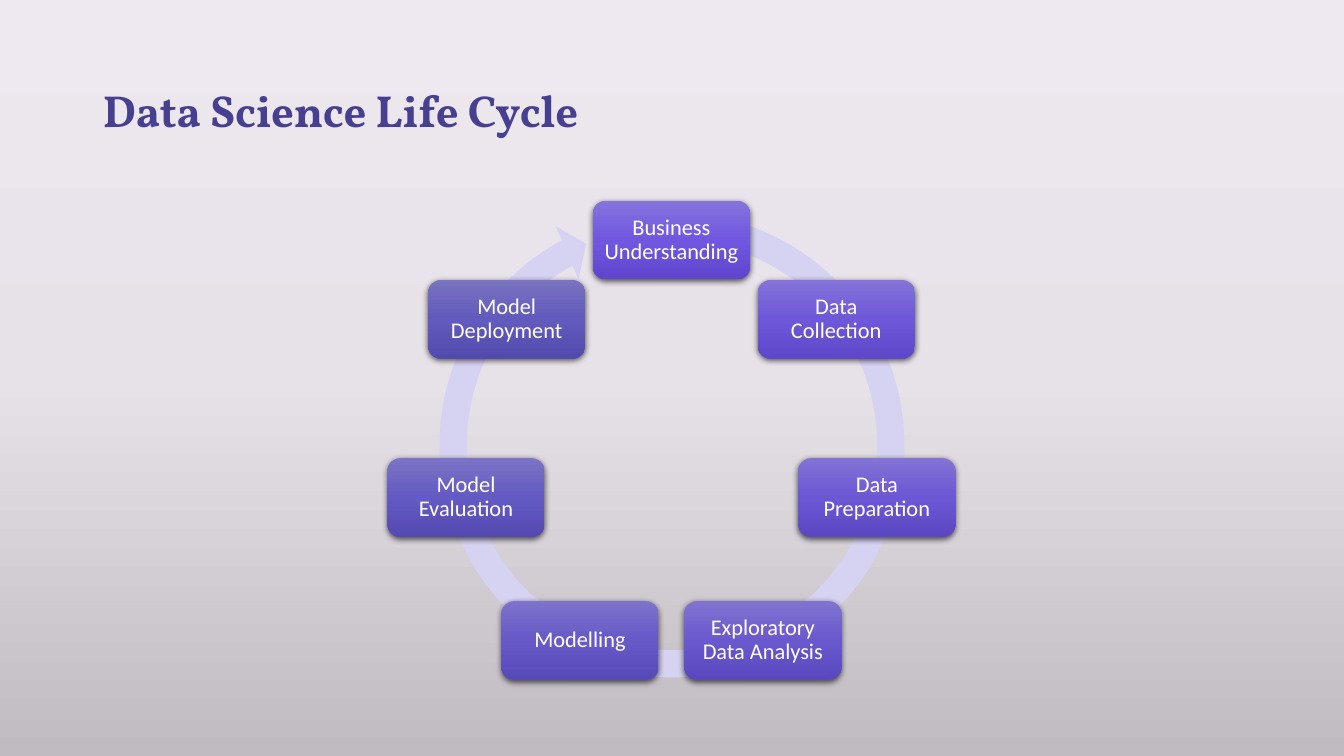
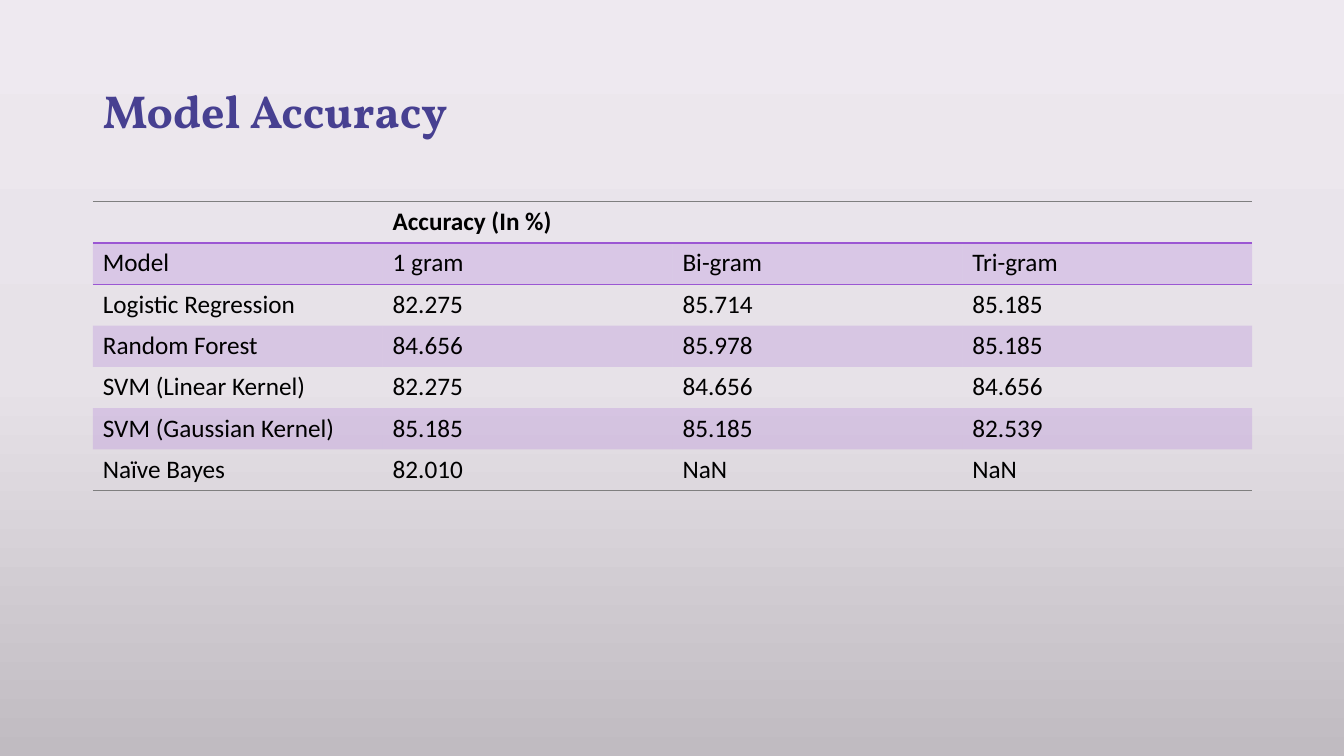
from copy import deepcopy
from math import cos, radians, sin

from lxml.etree import SubElement
from pptx import Presentation
from pptx.dml.color import RGBColor
from pptx.enum.shapes import MSO_SHAPE as SHAPE
from pptx.enum.text import MSO_ANCHOR as ANCHOR, MSO_AUTO_SIZE as AUTO, PP_ALIGN as ALIGN
from pptx.oxml.ns import qn
from pptx.util import Inches, Pt

BACKGROUND = [RGBColor(0xEE, 0xE9, 0xF0), RGBColor(0xE7, 0xE2, 0xE8), RGBColor(0xC0, 0xBB, 0xC1)]
INDIGO = RGBColor(0x47, 0x40, 0x91)
LAVENDER = RGBColor(0xD6, 0xD2, 0xF1)
PURPLE = RGBColor(0x9B, 0x57, 0xD3)
GREY = RGBColor(0x7F, 0x7F, 0x7F)
BLACK = RGBColor(0, 0, 0)
WHITE = RGBColor(0xFF, 0xFF, 0xFF)
FIRST_STEP = [RGBColor(0x86, 0x73, 0xDE), RGBColor(0x71, 0x57, 0xDF), RGBColor(0x60, 0x46, 0xCE)]
LAST_STEP = [RGBColor(0x79, 0x73, 0xC0), RGBColor(0x62, 0x5A, 0xBD), RGBColor(0x53, 0x4A, 0xAD)]
NO_TABLE_STYLE = "{2D5ABB26-0587-4C30-8999-92F81FD0307C}"

STEPS = ["Business Understanding", "Data Collection", "Data Preparation",
         "Exploratory Data Analysis", "Modelling", "Model Evaluation", "Model Deployment"]
ACCURACY = [
    ["", "Accuracy (In %)", "", ""],
    ["Model", "1 gram", "Bi-gram", "Tri-gram"],
    ["Logistic Regression", "82.275", "85.714", "85.185"],
    ["Random Forest", "84.656", "85.978", "85.185"],
    ["SVM (Linear Kernel)", "82.275", "84.656", "84.656"],
    ["SVM (Gaussian Kernel)", "85.185", "85.185", "82.539"],
    ["Naïve Bayes", "82.010", "NaN", "NaN"],
]


def blend(start, end, share):
    return RGBColor(*(round(a + (b - a) * share) for a, b in zip(start, end)))


def fill_gradient(fill, element, colors):
    """Fill downwards with three evenly spaced colours; element holds the fill."""
    fill.gradient()
    fill.gradient_angle = 270
    stop_list = next(element.iter(qn("a:gsLst")))
    stop_list.append(deepcopy(stop_list[0]))
    for stop, color, position in zip(fill.gradient_stops, colors, (0, 0.5, 1)):
        stop.color.rgb = color
        stop.position = position


def add_color(parent, color, alpha=None):
    clr = SubElement(parent, qn("a:srgbClr"), val=str(color))
    if alpha is not None:
        SubElement(clr, qn("a:alpha"), val=str(alpha * 1000))


def style_font(p, name, size, color, bold=False):
    p.font.name, p.font.size, p.font.bold = name, Pt(size), bold
    p.font.color.rgb = color


class Deck:
    """Holds the shared style and the current slide."""

    def __init__(self):
        self.prs = Presentation()
        self.prs.slide_width, self.prs.slide_height = Inches(13.33), Inches(7.5)
        master = self.prs.slide_master
        fill_gradient(master.background.fill, master._element, BACKGROUND)

    def add_slide(self, title, size):
        self.slide = self.prs.slides.add_slide(self.prs.slide_layouts[5])
        sp = self.slide.shapes.title
        sp.left, sp.top, sp.width, sp.height = map(Inches, (0.92, 0.4, 11.5, 1.45))
        tf = sp.text_frame
        tf.text = title
        tf.auto_size, tf.vertical_anchor = AUTO.NONE, ANCHOR.MIDDLE
        p = tf.paragraphs[0]
        p.alignment, p.line_spacing = ALIGN.LEFT, 0.9
        style_font(p, "Vollkorn", size, INDIGO, True)

    def add_shape(self, kind, left, top, width, height):
        sp = self.slide.shapes.add_shape(kind, *map(Inches, (left, top, width, height)))
        sp.shadow.inherit = False
        sp.line.fill.background()
        return sp

    def add_ring_arrow(self, left, top, size):
        sp = self.add_shape(SHAPE.CIRCULAR_ARROW, left, top, size, size)
        for i, value in enumerate((0.055, 3.307, 144.843, 169.683, 0.058)):
            sp.adjustments[i] = value
        sp.fill.solid()
        sp.fill.fore_color.rgb = LAVENDER

    def add_step(self, text, center_x, center_y, colors, width=1.56, height=0.78):
        sp = self.add_shape(SHAPE.ROUNDED_RECTANGLE, center_x - width / 2,
                            center_y - height / 2, width, height)
        fill_gradient(sp.fill, sp._element, colors)
        effects = sp._element.spPr.find(qn("a:effectLst"))
        shadow = SubElement(effects, qn("a:outerShdw"), blurRad=str(Pt(4.5)),
                            dist=str(Pt(1.5)), dir="5400000", algn="ctr", rotWithShape="0")
        add_color(shadow, BLACK, 63)
        tf = sp.text_frame
        tf.text = text
        tf.word_wrap, tf.vertical_anchor = True, ANCHOR.MIDDLE
        tf.margin_left = tf.margin_right = tf.margin_top = tf.margin_bottom = Inches(0.07)
        p = tf.paragraphs[0]
        p.alignment, p.line_spacing = ALIGN.CENTER, 0.9
        style_font(p, "Calibri", 16, WHITE)

    def add_cycle(self, steps, center_x, center_y, radius):
        """Place the steps clockwise on a circle, from the top."""
        for i, text in enumerate(steps):
            angle = radians(360 * i / len(steps))
            share = i / (len(steps) - 1)
            colors = [blend(a, b, share) for a, b in zip(FIRST_STEP, LAST_STEP)]
            self.add_step(text, center_x + radius * sin(angle),
                          center_y - radius * cos(angle), colors)

    def add_table(self, rows, left, top, width, row_height):
        """Draw banded rows with rules above, below and under the header."""
        frame = self.slide.shapes.add_table(len(rows), len(rows[0]), Inches(left), Inches(top),
                                            Inches(width), Inches(row_height * len(rows)))
        table = frame.table
        table._tbl.tblPr.find(qn("a:tableStyleId")).text = NO_TABLE_STYLE
        table.first_row = table.horz_banding = False
        rules = {0: GREY, 1: PURPLE, len(rows): GREY}
        for r, values in enumerate(rows):
            for c, text in enumerate(values):
                cell = table.cell(r, c)
                cell.text = text
                style_font(cell.text_frame.paragraphs[0], "Calibri", 18, BLACK, r == 0)
                tc_pr = cell._tc.get_or_add_tcPr()
                for tag, edge in (("a:lnT", r), ("a:lnB", r + 1)):
                    if edge in rules:
                        ln = SubElement(tc_pr, qn(tag), w=str(Pt(1)))
                        add_color(SubElement(ln, qn("a:solidFill")), rules[edge])
                if r % 2:
                    add_color(SubElement(tc_pr, qn("a:solidFill")), PURPLE, 20)
                else:
                    cell.fill.background()
        table.cell(0, 1).merge(table.cell(0, len(rows[0]) - 1))


def main():
    deck = Deck()

    deck.add_slide("Data Science Life Cycle", 32)
    deck.add_ring_arrow(4.21, 1.96, 4.91)
    deck.add_cycle(STEPS, 6.66, 4.47, 2.09)

    deck.add_slide("Model Accuracy", 33)
    deck.add_table(ACCURACY, 0.92, 2, 11.5, 0.41)

    deck.prs.save("out.pptx")


if __name__ == "__main__":
    main()
